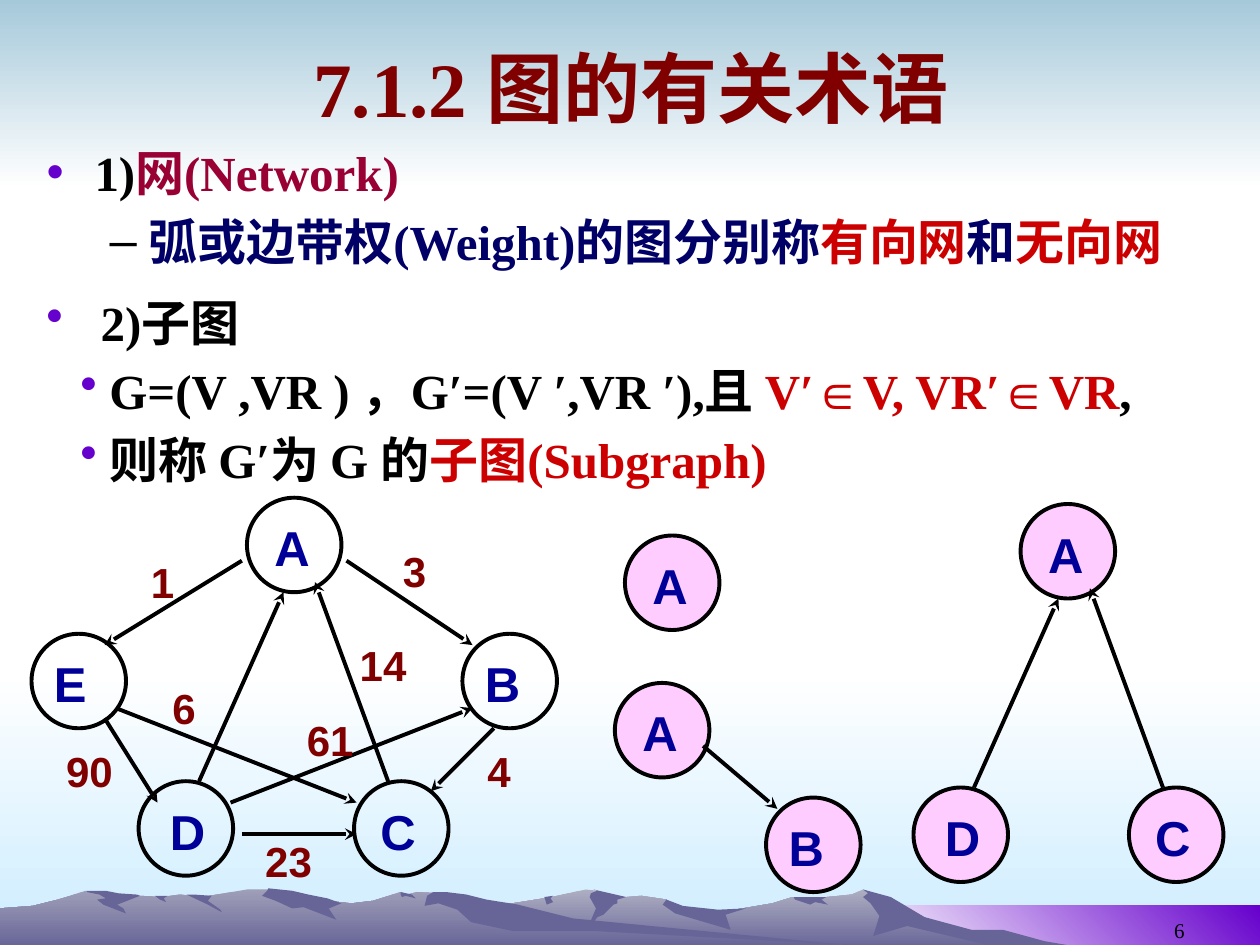
from dataclasses import dataclass

import pptx
import pptx.dml.color
import pptx.enum.shapes
import pptx.enum.text
import pptx.oxml.ns
import pptx.util
from lxml import etree

Inches = pptx.util.Inches
Pt = pptx.util.Pt
SHAPE = pptx.enum.shapes.MSO_SHAPE
ALIGN = pptx.enum.text.PP_ALIGN
ANCHOR = pptx.enum.text.MSO_ANCHOR


@dataclass(frozen=True)
class Theme:
    serif: str = "Times New Roman"
    sans: str = "Arial"
    black: str = "000000"
    maroon: str = "800000"
    wine: str = "990033"
    navy: str = "000066"
    letter: str = "000099"
    red: str = "CC0000"
    violet: str = "6600CC"
    pink: str = "FFCCFF"
    white: str = "FFFFFF"
    sky: str = "A6C9DA"
    ice: str = "CCECFF"
    ridge: str = "676597"
    ridge_light: str = "AEAEC2"
    ridge_mid: str = "9F9EB8"
    title_size: int = 44
    text_size: int = 28
    weight_size: int = 24
    number_size: int = 12
    line_width: float = 2.25
    node: float = 0.75


def rgb(value):
    return pptx.dml.color.RGBColor.from_string(value)


def add_xml(parent, tag, **attrs):
    return etree.SubElement(parent, pptx.oxml.ns.qn(tag), attrs)


class Painter:
    letter_inset = {"A": 0.12, "B": 0.08, "C": 0.11, "D": 0.15, "E": 0.08}

    def __init__(self, s, theme):
        self.s, self.t = s, theme

    def paint(self, sp, colours, angle=270):
        sp.shadow.inherit = False
        sp.line.fill.background()
        if len(colours) == 1:
            sp.fill.solid()
            sp.fill.fore_color.rgb = rgb(colours[0])
            return
        sp.fill.gradient()
        sp.fill.gradient_angle = angle
        for stop, colour in zip(sp.fill.gradient_stops, colours):
            stop.color.rgb = rgb(colour)

    def band(self, x, y, w, h, colours, angle=270):
        sp = self.s.shapes.add_shape(SHAPE.RECTANGLE, Inches(x), Inches(y), Inches(w), Inches(h))
        self.paint(sp, colours, angle)

    def ridge(self, points, *colours):
        builder = self.s.shapes.build_freeform(*points[0], scale=Inches(0.01))
        builder.add_line_segments(points[1:], close=True)
        self.paint(builder.convert_to_shape(), colours)

    def placeholder(self, index, x, y, w, h):
        sp = self.s.placeholders[index]
        sp.left, sp.top, sp.width, sp.height = map(Inches, (x, y, w, h))
        self.s.shapes._spTree.append(sp._element)
        sp.text_frame.auto_size = pptx.enum.text.MSO_AUTO_SIZE.NONE
        return sp.text_frame

    def box(self, x, y, w, h, wrap=True):
        sp = self.s.shapes.add_textbox(Inches(x), Inches(y), Inches(w), Inches(h))
        sp.text_frame.word_wrap = wrap
        return sp.text_frame

    def font(self, p, name, size, colour=None, bold=True):
        p.font.name, p.font.size, p.font.bold = name, Pt(size), bold
        if colour:
            p.font.color.rgb = rgb(colour)

    def line_of_text(self, tf, text, name, size, colour, align, bold=True):
        p = tf.paragraphs[0]
        p.text, p.alignment = text, align
        self.font(p, name, size, colour, bold)

    def bullets(self, tf, items):
        tf.vertical_anchor = ANCHOR.TOP
        for i, (level, margin, hang, char, colour, runs) in enumerate(items):
            p = tf.add_paragraph() if i else tf.paragraphs[0]
            p.level, p.alignment = level, ALIGN.LEFT
            p.space_before = Pt(0.2 * self.t.text_size if i else 0)
            pPr = p._p.get_or_add_pPr()
            pPr.set("marL", str(Inches(margin)))
            pPr.set("indent", str(-Inches(hang)))
            add_xml(add_xml(pPr, "a:buClr"), "a:srgbClr", val=colour)
            add_xml(pPr, "a:buChar", char=char)
            self.font(p, self.t.serif, self.t.text_size)
            for text, run_colour in runs:
                r = p.add_run()
                r.text = text
                r.font.color.rgb = rgb(run_colour)

    def node(self, letter, x, y, fill=None):
        size = Inches(self.t.node)
        sp = self.s.shapes.add_shape(SHAPE.OVAL, Inches(x), Inches(y), size, size)
        self.paint(sp, [fill or self.t.white])
        if not fill:
            sp.fill.background()
        sp.line.color.rgb = rgb(self.t.black)
        sp.line.width = Pt(self.t.line_width)
        tf = self.box(x + self.letter_inset[letter], y + 0.11, 0.48, 0.57, wrap=False)
        self.line_of_text(tf, letter, self.t.sans, self.t.text_size, self.t.letter, ALIGN.LEFT)

    def arrow(self, *ends):
        kind = pptx.enum.shapes.MSO_CONNECTOR.STRAIGHT
        c = self.s.shapes.add_connector(kind, *map(Inches, ends))
        c.line.color.rgb = rgb(self.t.black)
        c.line.width = Pt(self.t.line_width)
        add_xml(c.line._get_or_add_ln(), "a:tailEnd", type="stealth")
        add_xml(c._element.spPr, "a:effectLst")

    def weight(self, text, x, y, w):
        tf = self.box(x, y, w, 0.5)
        self.line_of_text(tf, text, self.t.sans, self.t.weight_size, self.t.maroon, ALIGN.CENTER)


def landscape(d, t):
    d.band(0, 5.33, 10, 2.17, [t.white, t.ice])
    d.band(0, 0, 10, 1.5, [t.sky, t.white])
    d.band(6.83, 7.19, 3.17, 0.33, [t.white, t.violet], 45)
    d.ridge([(802, 746), (764, 738), (723, 725), (702, 712), (685, 706), (676, 710), (656, 712),
             (629, 712), (613, 717), (566, 725), (536, 721), (529, 714), (509, 711), (486, 713),
             (474, 707), (465, 706), (438, 712), (394, 719), (355, 725), (327, 731), (277, 745),
             (258, 752), (821, 752)], t.ridge_light, t.ridge)
    for points in (
        [(796, 738), (771, 738), (734, 728), (707, 712), (685, 706), (689, 709), (685, 712), (691, 717),
         (698, 727), (693, 743), (720, 735), (792, 752), (858, 752), (829, 747)],
        [(471, 706), (474, 707), (469, 709), (468, 712), (473, 721), (465, 740), (474, 728), (479, 726),
         (487, 718), (490, 717), (490, 714), (497, 712)],
        [(529, 714), (526, 718), (536, 725), (580, 738), (576, 726), (592, 721), (570, 722), (542, 719)],
        [(650, 712), (630, 712), (631, 714), (643, 718), (647, 716), (657, 718), (652, 714), (656, 712)],
        [(433, 715), (432, 712), (439, 711), (437, 713), (439, 716), (434, 718)],
    ):
        d.ridge(points, t.ridge)
    d.ridge([(690, 752), (667, 750), (432, 732), (354, 709), (331, 708), (323, 710), (318, 708),
             (296, 715), (279, 717), (260, 715), (236, 717), (223, 708), (212, 706), (196, 706),
             (178, 709), (160, 712), (143, 710), (128, 712), (111, 711), (94, 712), (68, 707),
             (56, 711), (46, 714), (26, 719), (0, 721), (0, 752)], t.ridge_mid, t.ridge)
    for points in (
        [(212, 707), (208, 711), (219, 715), (232, 721), (241, 720), (267, 730), (261, 721), (271, 717),
         (260, 713), (245, 710), (232, 707), (213, 705)],
        [(370, 710), (354, 708), (344, 708), (339, 711), (337, 719), (348, 717), (363, 722), (374, 732),
         (407, 739), (472, 739), (690, 751), (683, 751), (455, 729), (411, 718), (386, 714)],
        [(318, 710), (318, 708), (327, 710), (330, 713), (322, 711), (319, 712)],
        [(154, 710), (168, 711), (165, 715), (175, 722), (176, 724), (165, 718), (148, 710)],
        [(133, 711), (130, 713), (132, 716), (127, 714), (123, 711)],
        [(109, 710), (111, 711), (93, 718), (98, 721), (100, 725), (82, 718), (77, 714), (84, 713),
         (79, 710), (69, 708), (69, 707), (84, 707), (94, 709)],
    ):
        d.ridge(points, t.ridge)


def main():
    prs = pptx.Presentation()
    prs.slide_width, prs.slide_height = Inches(10), Inches(7.5)
    t = Theme()
    d = Painter(prs.slides.add_slide(prs.slide_layouts[1]), t)
    landscape(d, t)

    tf = d.box(7.17, 7.03, 2.33, 0.5)
    tf.vertical_anchor = ANCHOR.BOTTOM
    d.line_of_text(tf, "6", t.serif, t.number_size, t.black, ALIGN.RIGHT, bold=False)
    tf = d.placeholder(0, 0.51, 0.13, 9, 1.12)
    tf.vertical_anchor = ANCHOR.MIDDLE
    d.line_of_text(tf, "7.1.2 图的有关术语", t.serif, t.title_size, t.maroon, ALIGN.CENTER)
    d.bullets(d.placeholder(1, 0.27, 1.08, 9.48, 5.67), [
        (0, 0.38, 0.38, "•", t.violet, [("1)", t.black), ("网(Network)", t.wine)]),
        (1, 0.81, 0.31, "–", t.black, [("弧或边带权(Weight)的图分别称", t.navy), ("有向网", t.red),
                                       ("和", t.navy), ("无向网", t.red)])])
    d.bullets(d.box(0.27, 2.27, 9.56, 1.69), [
        (0, 0.43, 0.43, "•", t.violet, [("2)子图", t.black)]),
        (1, 0.5, 0.23, "•", t.violet, [("G=(V ,VR ) ，G′=(V ′,VR ′),且 ", t.black),
                                       ("V′∈V, VR′∈VR", t.red), (",", t.black)]),
        (1, 0.5, 0.23, "•", t.violet, [("则称 G′为 G 的", t.black), ("子图(Subgraph)", t.red)])])

    for node in (("A", 1.96, 3.95), ("B", 3.67, 5.03), ("C", 2.81, 6.2), ("D", 1.1, 6.2), ("E", 0.25, 5.03)):
        d.node(*node)
    for node in (("A", 4.96, 4.25), ("A", 4.88, 5.42), ("B", 6.08, 6.33),
                 ("A", 8.1, 4), ("C", 8.96, 6.25), ("D", 7.25, 6.25)):
        d.node(*node, fill=t.pink)
    for ends in ((1.92, 4.45, 0.83, 5.12), (0.83, 5.7, 1.25, 6.37), (1.92, 6.62, 2.83, 6.62),
                 (3.08, 6.2, 2.5, 4.62), (2.75, 4.45, 3.75, 5.12), (3.92, 5.78, 3.42, 6.28),
                 (1.58, 6.2, 2.25, 4.7), (1.83, 6.37, 3.75, 5.62), (0.92, 5.62, 2.83, 6.37),
                 (5.58, 5.92, 6.17, 6.42), (9.23, 6.25, 8.65, 4.67), (7.73, 6.25, 8.4, 4.75)):
        d.arrow(*ends)
    for weight in (("1", 1.08, 4.37, 0.42), ("3", 3.08, 4.28, 0.42), ("4", 3.75, 5.87, 0.42),
                   ("14", 2.75, 5.03, 0.58), ("23", 2, 6.58, 0.58), ("90", 0.42, 5.87, 0.58),
                   ("6", 1.17, 5.37, 0.58), ("61", 2.33, 5.62, 0.58)):
        d.weight(*weight)
    prs.save("out.pptx")


if __name__ == "__main__":
    main()
